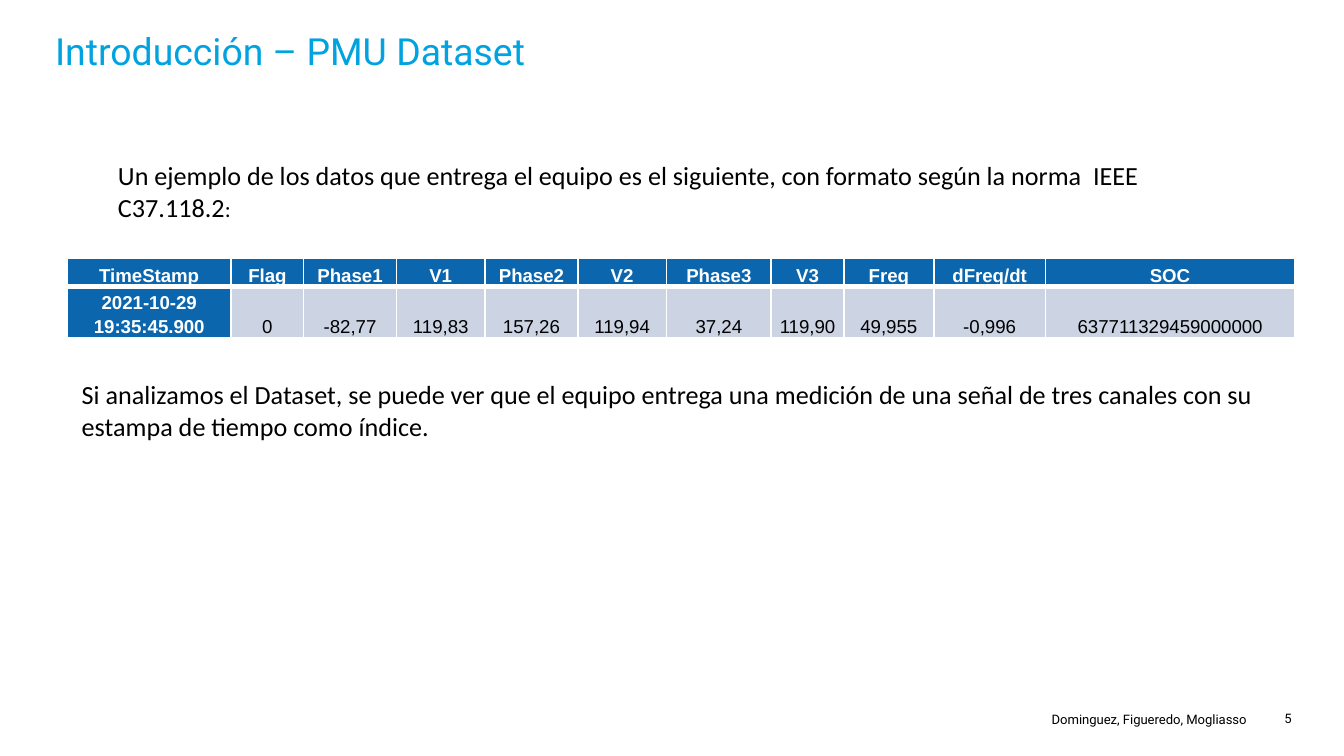
from dataclasses import dataclass

from lxml import etree
from pptx import Presentation
from pptx import util as u
from pptx.dml.color import RGBColor
from pptx.enum import text
from pptx.oxml import ns

SKY = RGBColor(0x00, 0xA3, 0xE0)
BLUE = RGBColor(0x0B, 0x66, 0xAE)
PALE = RGBColor(0xCC, 0xD3, 0xE3)
BLACK = RGBColor(0x00, 0x00, 0x00)
WHITE = RGBColor(0xFF, 0xFF, 0xFF)

GRID_UNIT = u.Inches(0.1)
GRID_COLUMNS = 100
GRID_ROWS = GRID_COLUMNS * 9 / 16


@dataclass(frozen=True)
class Span:
    words: str
    size: float


@dataclass(frozen=True)
class TextBlock:
    column: float
    row: float
    columns: float
    rows: float
    spans: tuple[Span, ...]
    font: str
    color: RGBColor = BLACK
    align: text.PP_ALIGN = text.PP_ALIGN.LEFT
    padded: bool = False


@dataclass(frozen=True)
class Field:
    heading: str
    value: str
    columns: float


TEXT_BLOCKS = (
    TextBlock(4.1, 2.1, 92.2, 6.2, (Span("Introducción – PMU Dataset", 20),), "Roboto", SKY),
    TextBlock(92.9, 52.9, 3.2, 1.4, (Span("5", 7),), "Roboto", align=text.PP_ALIGN.RIGHT),
    TextBlock(61.1, 52.9, 31.65, 1.5, (Span("Dominguez, Figueredo, Mogliasso", 7),),
              "Roboto", align=text.PP_ALIGN.RIGHT),
    TextBlock(7.8, 11.4, 83, 5.7, (
        Span("Un ejemplo de los datos que entrega el equipo es el siguiente, "
             "con formato según la norma  IEEE C37.118.2", 14),
        Span(":", 12),
    ), "Calibri", padded=True),
    TextBlock(5.1, 27.7, 91, 5.7, (
        Span("Si analizamos el Dataset, se puede ver que el equipo entrega una medición "
             "de una señal de tres canales con su estampa de tiempo como índice.", 14),
    ), "Calibri", padded=True),
)

FIELDS = (
    Field("TimeStamp", "2021-10-29 19:35:45.900", 12.2),
    Field("Flag", "0", 5.4),
    Field("Phase1", "-82,77", 6.9),
    Field("V1", "119,83", 6.6),
    Field("Phase2", "157,26", 6.9),
    Field("V2", "119,94", 6.6),
    Field("Phase3", "37,24", 7.8),
    Field("V3", "119,90", 5.4),
    Field("Freq", "49,955", 6.7),
    Field("dFreq/dt", "-0,996", 8.3),
    Field("SOC", "637711329459000000", 18.55),
)
TABLE_COLUMN, TABLE_ROW, ROW_HEIGHT = 5, 19.2, 2.1


def grid(units: float) -> int:
    return round(units * GRID_UNIT)


def add_text(page, block: TextBlock) -> None:
    box = page.shapes.add_textbox(
        grid(block.column), grid(block.row), grid(block.columns), grid(block.rows))
    frame = box.text_frame
    frame.word_wrap = True
    if block.padded:
        frame.auto_size = text.MSO_AUTO_SIZE.SHAPE_TO_FIT_TEXT
    else:
        frame.margin_left = frame.margin_right = frame.margin_top = frame.margin_bottom = 0
    para = frame.paragraphs[0]
    para.alignment = block.align
    for part in block.spans:
        span = para.add_run()
        span.text = part.words
        span.font.size = u.Pt(part.size)
        span.font.name = block.font
        span.font.color.rgb = block.color


def add_border(cell, side: str, points: float) -> None:
    properties = cell._tc.get_or_add_tcPr()
    line = etree.SubElement(properties, ns.qn(f"a:ln{side}"), w=str(u.Pt(points)))
    fill = etree.SubElement(line, ns.qn("a:solidFill"))
    etree.SubElement(fill, ns.qn("a:srgbClr"), val=str(WHITE))


def fill_cell(cell, words: str, is_header: bool, is_label: bool) -> None:
    for side in "LRTB":
        add_border(cell, side, 3 if is_header and side == "B" else 1)
    cell.fill.solid()
    cell.fill.fore_color.rgb = BLUE if is_label else PALE
    cell.vertical_anchor = text.MSO_ANCHOR.BOTTOM
    cell.margin_left = cell.margin_right = u.Inches(0.05)
    cell.margin_top = cell.margin_bottom = 0
    cell.text_frame.text = words
    para = cell.text_frame.paragraphs[0]
    para.alignment = text.PP_ALIGN.CENTER
    para.line_spacing = 1.15
    font = para.runs[0].font
    font.size = u.Pt(10)
    font.name = "Arial"
    font.bold = is_label
    font.color.rgb = WHITE if is_label else BLACK


def add_measurements(page, fields: tuple[Field, ...]) -> None:
    table = page.shapes.add_table(
        2, len(fields), grid(TABLE_COLUMN), grid(TABLE_ROW),
        grid(sum(field.columns for field in fields)), grid(2 * ROW_HEIGHT)).table
    for row in table.rows:
        row.height = grid(ROW_HEIGHT)
    for index, field in enumerate(fields):
        table.columns[index].width = grid(field.columns)
        fill_cell(table.cell(0, index), field.heading, True, True)
        fill_cell(table.cell(1, index), field.value, False, index == 0)


def main() -> None:
    deck = Presentation()
    deck.slide_width = grid(GRID_COLUMNS)
    deck.slide_height = grid(GRID_ROWS)
    page = deck.slides.add_slide(deck.slide_layouts[6])
    for block in TEXT_BLOCKS:
        add_text(page, block)
    add_measurements(page, FIELDS)
    deck.save("out.pptx")


if __name__ == "__main__":
    main()
